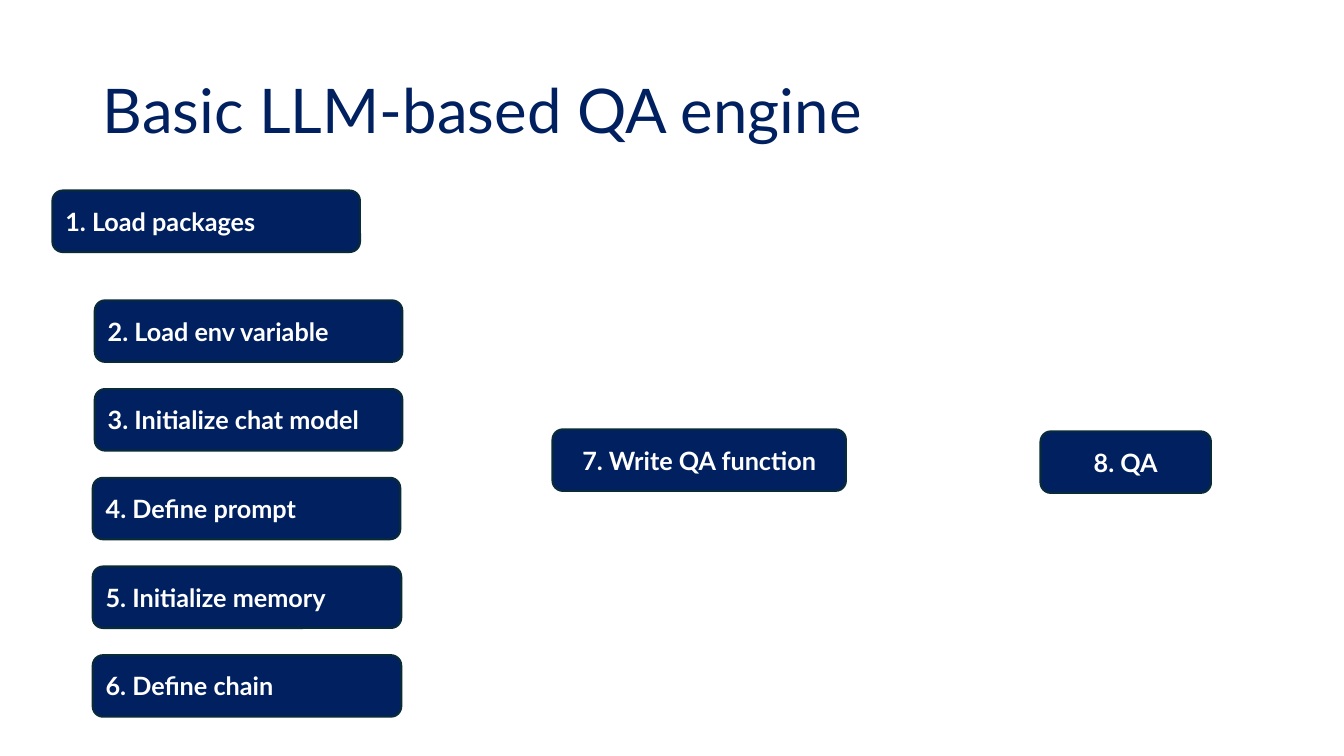
import pptx
import pptx.util
import pptx.dml.color
import pptx.enum.shapes
import pptx.enum.text

Inches = pptx.util.Inches
Pt = pptx.util.Pt
RGBColor = pptx.dml.color.RGBColor
PP_ALIGN = pptx.enum.text.PP_ALIGN

NAVY = RGBColor(0x00, 0x20, 0x60)
OUTLINE = RGBColor(0x09, 0x2A, 0x39)
WHITE = RGBColor(0xFF, 0xFF, 0xFF)
FONT = "Lato"

HEADING = "Basic LLM-based QA engine"
FIRST_STEP = "1. Load packages"
SETUP_STEPS = [
    ("2. Load env variable", 0.94, 3.05),
    ("3. Initialize chat model", 0.94, 3.05),
    ("4. Define prompt", 0.92, 3.05),
    ("5. Initialize memory", 0.92, 3.06),
    ("6. Define chain", 0.92, 3.06),
]
FUNCTION_STEP = "7. Write QA function"
QA_STEP = "8. QA"

STEP_HEIGHT = 0.61
SETUP_TOP = 2.98
SETUP_PITCH = 0.88


def set_font(paragraph, size, color, bold):
    paragraph.font.name = FONT
    paragraph.font.size = Pt(size)
    paragraph.font.color.rgb = color
    paragraph.font.bold = bold


def add_step(slide, label, left, top, width, align=PP_ALIGN.LEFT):
    step = slide.shapes.add_shape(
        pptx.enum.shapes.MSO_SHAPE.ROUNDED_RECTANGLE,
        Inches(left), Inches(top), Inches(width), Inches(STEP_HEIGHT))
    step.shadow.inherit = False
    step.fill.solid()
    step.fill.fore_color.rgb = NAVY
    step.line.color.rgb = OUTLINE
    step.line.width = Pt(1.5)
    step.text_frame.text = label
    step.text_frame.vertical_anchor = pptx.enum.text.MSO_ANCHOR.MIDDLE
    paragraph = step.text_frame.paragraphs[0]
    paragraph.alignment = align
    set_font(paragraph, 18, WHITE, True)


def main():
    deck = pptx.Presentation()
    deck.slide_width, deck.slide_height = Inches(13.33), Inches(7.5)
    slide = deck.slides.add_slide(deck.slide_layouts[5])

    heading = slide.shapes.title
    heading.left, heading.top = Inches(0.92), Inches(0.4)
    heading.width, heading.height = Inches(11.5), Inches(1.45)
    heading.text_frame.text = HEADING
    heading.text_frame.vertical_anchor = pptx.enum.text.MSO_ANCHOR.MIDDLE
    paragraph = heading.text_frame.paragraphs[0]
    paragraph.alignment = PP_ALIGN.LEFT
    paragraph.line_spacing = 0.9
    set_font(paragraph, 44, NAVY, False)

    add_step(slide, FIRST_STEP, 0.52, 1.89, 3.05)
    for row, (label, left, width) in enumerate(SETUP_STEPS):
        add_step(slide, label, left, SETUP_TOP + row * SETUP_PITCH, width)
    add_step(slide, FUNCTION_STEP, 5.48, 4.26, 2.91, PP_ALIGN.CENTER)
    add_step(slide, QA_STEP, 10.32, 4.28, 1.69, PP_ALIGN.CENTER)

    deck.save("out.pptx")


if __name__ == "__main__":
    main()
